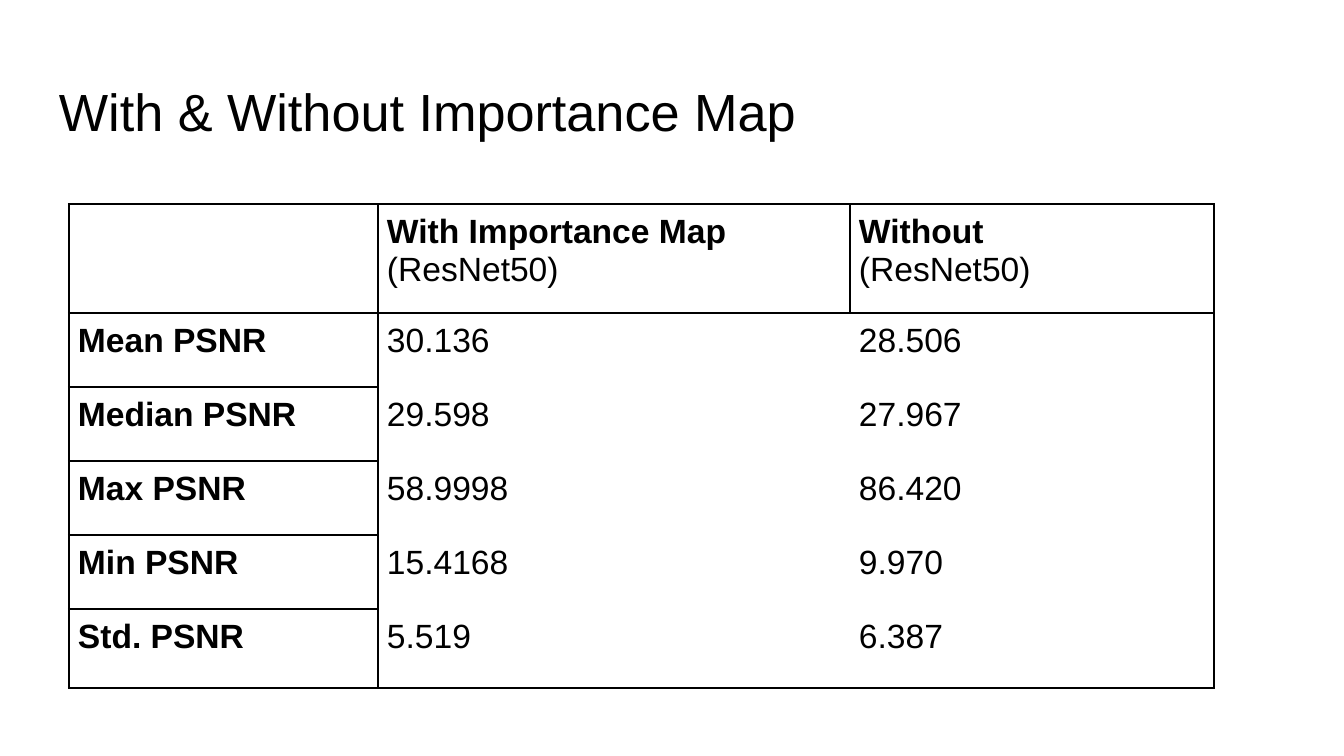
"""Build a slide with a table of PSNR statistics with and without an importance map."""
from lxml import etree
from pptx import Presentation
from pptx.dml.color import RGBColor
from pptx.enum.text import MSO_ANCHOR, PP_ALIGN
from pptx.oxml.ns import qn
from pptx.util import Emu, Pt

TOP = MSO_ANCHOR.TOP
LEFT = PP_ALIGN.LEFT
BLACK = RGBColor(0, 0, 0)
WHITE = RGBColor(255, 255, 255)
EMU_PER_PX = 914400 / 134.4
FONT = {"name": "Arial", "size": Pt(18), "bold": False}
COLUMN_WIDTHS = [309, 472, 364]
ROW_HEIGHTS = [109, 74, 74, 74, 74, 79]
LAST_ROW = len(ROW_HEIGHTS) - 1
LAST_COLUMN = len(COLUMN_WIDTHS) - 1
ROWS = [
    ["", "With Importance Map\n(ResNet50)", "Without\n(ResNet50)"],
    ["Mean PSNR", "30.136", "28.506"],
    ["Median PSNR", "29.598", "27.967"],
    ["Max PSNR", "58.9998", "86.420"],
    ["Min PSNR", "15.4168", "9.970"],
    ["Std. PSNR", "5.519", "6.387"],
]


def px(length):
    return Emu(round(length * EMU_PER_PX))


def set_attributes(target, values):
    for name, value in values.items():
        setattr(target, name, value)


def set_margins(target, margin):
    sides = ("left", "right", "top", "bottom")
    set_attributes(target, {f"margin_{side}": px(margin) for side in sides})


def write_paragraph(paragraph, text, **format_values):
    paragraph.alignment = LEFT
    run = paragraph.add_run()
    run.text = text
    set_attributes(run.font, FONT | format_values)
    run.font.color.rgb = BLACK


def add_title(slide, text):
    box = slide.shapes.add_textbox(px(46), px(66), px(1253), px(84))
    frame = box.text_frame
    set_attributes(frame, {"word_wrap": True, "vertical_anchor": TOP})
    set_margins(frame, 13)
    write_paragraph(frame.paragraphs[0], text, size=Pt(28))


def border_widths(row, column):
    header = row == 0
    label = column == 0
    return {
        "a:lnL": 1.5 if label else 1 if header or column == 1 else 0,
        "a:lnR": 1 if header or label or column == LAST_COLUMN else 0,
        "a:lnT": 1 if header or label or row == 1 else 0,
        "a:lnB": 1.5 if row == LAST_ROW else 1 if header or label else 0,
    }


def set_borders(cell, widths):
    properties = cell._tc.get_or_add_tcPr()
    for tag, width in widths.items():
        line = etree.SubElement(properties, qn(tag), w=str(Pt(width)))
        if width:
            fill = etree.SubElement(line, qn("a:solidFill"))
            etree.SubElement(fill, qn("a:srgbClr"), val=str(BLACK))
        else:
            etree.SubElement(line, qn("a:noFill"))


def fill_cell(cell, text, row, column):
    set_borders(cell, border_widths(row, column))
    cell.fill.background()
    cell.vertical_anchor = TOP
    set_margins(cell, 9)
    frame = cell.text_frame
    for index, line in enumerate(text.splitlines()):
        paragraph = frame.add_paragraph() if index else frame.paragraphs[0]
        bold = index == 0 and (row == 0 or column == 0)
        write_paragraph(paragraph, line, bold=bold)


def add_psnr_table(slide):
    frame = slide.shapes.add_table(
        len(ROWS), len(COLUMN_WIDTHS), px(69), px(204),
        px(sum(COLUMN_WIDTHS)), px(sum(ROW_HEIGHTS)),
    )
    table = frame.table
    set_attributes(table, {"first_row": False, "horz_banding": False})
    for column, width in zip(table.columns, COLUMN_WIDTHS):
        column.width = px(width)
    for row, height in zip(table.rows, ROW_HEIGHTS):
        row.height = px(height)
    for row, texts in enumerate(ROWS):
        for column, text in enumerate(texts):
            fill_cell(table.cell(row, column), text, row, column)


def main():
    presentation = Presentation()
    presentation.slide_width = px(1344)
    presentation.slide_height = px(756)
    slide = presentation.slides.add_slide(presentation.slide_layouts[6])
    background = slide.background.fill
    background.solid()
    background.fore_color.rgb = WHITE
    add_title(slide, "With & Without Importance Map")
    add_psnr_table(slide)
    presentation.save("out.pptx")


if __name__ == "__main__":
    main()
